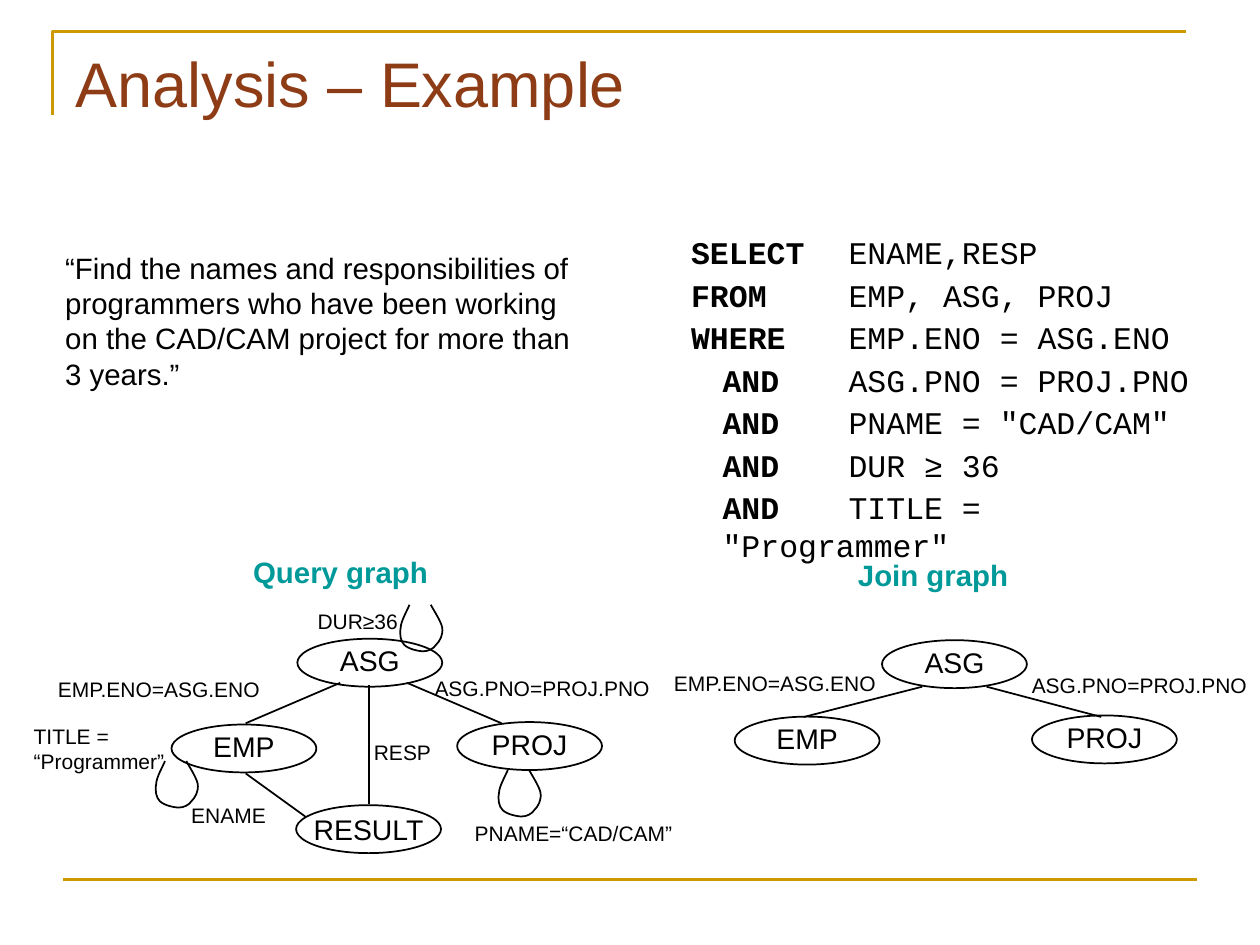
from lxml.etree import SubElement
from pptx import Presentation
from pptx.dml.color import RGBColor
from pptx.enum.shapes import MSO_CONNECTOR, MSO_SHAPE
from pptx.enum.text import MSO_ANCHOR, MSO_AUTO_SIZE, PP_ALIGN
from pptx.oxml.ns import qn
from pptx.util import Pt

HEX = {"ink": "000000", "paper": "FFFFFF", "gold": "CC9900",
       "title": "8D3C15", "teal": "009999"}
COLOR = {name: RGBColor.from_string(code) for name, code in HEX.items()}

TITLE = "Analysis – Example"
QUOTE = ("“Find the names and responsibilities of programmers who have been "
         "working on the CAD/CAM project for more than 3 years.”")
QUERY = [
    ("SELECT", "\tENAME,RESP"),
    ("FROM", "\tEMP, ASG, PROJ"),
    ("WHERE", "\tEMP.ENO = ASG.ENO"),
    ("\tAND \t", "ASG.PNO = PROJ.PNO"),
    ("\tAND\t", "PNAME = \"CAD/CAM\""),
    ("\tAND\t", "DUR ≥ 36"),
    ("\tAND", "\tTITLE = \"Programmer\""),
]
# text, left, top, width
HEADS = [("Query graph", 139.7, 317.5, 111), ("Join graph", 485.3, 319.5, 96.5)]
LABELS = [
    ("DUR≥36", 174.4, 344.2, 60.5),
    ("PNAME=“CAD/CAM”", 264.2, 465.2, 128),
    ("ENAME", 102.2, 455, 57.6),
    ("EMP.ENO=ASG.ENO", 26, 383, 132.5),
    ("ASG.PNO=PROJ.PNO", 241.2, 382.3, 138.2),
    ("TITLE =\n“Programmer”", 12.2, 409.7, 89.3),
    ("RESP", 206.6, 419, 47.5),
    ("ASG.PNO=PROJ.PNO", 582.5, 380.9, 138.2),
    ("EMP.ENO=ASG.ENO", 378, 379.6, 132.5),
]
# text, left, top
NODES = [
    ("RESULT", 169.2, 460.1),
    ("ASG", 169.9, 365), ("PROJ", 261.2, 412.6), ("EMP", 98, 414),
    ("EMP", 419.8, 409.5), ("PROJ", 589.7, 408.8), ("ASG", 504, 365.8),
]
NODE_W, NODE_H = 82.8, 27.4
EDGES = [
    (140.4, 442, 176.4, 468), (232.6, 390.2, 286.6, 413.3),
    (211, 391.7, 211, 459.4), (194.4, 390.2, 140.4, 413.3),
    (527, 392.4, 459.4, 409.7), (563.8, 392.4, 629.3, 409.7),
]
LOOPS = [(290.2, 440), (94.3, 434.9), (234, 345.6)]
# Bezier curves of one loop, measured from its first end
LOOP = [
    ((-0.7, 2.2), (-5, 9.4), (-5, 13)),
    ((-5.8, 17.3), (-5, 20.9), (-2.9, 23)),
    ((-0.7, 25.2), (5, 26.6), (7.9, 26.6)),
    ((10.8, 26.6), (13.7, 25.2), (15.1, 23)),
    ((17.3, 20.9), (19.4, 17.3), (18.7, 13)),
    ((18, 9.4), (13.7, 2.9), (12.2, 0)),
]


def apply(obj, values):
    for key, value in values.items():
        setattr(obj, key, value)


def place(shape, left, top, width, height):
    apply(shape, {"left": Pt(left), "top": Pt(top),
                  "width": Pt(width), "height": Pt(height)})


def style(run, size, color="ink", bold=False, face="Arial"):
    apply(run.font, {"size": Pt(size), "bold": bold, "name": face})
    run.font.color.rgb = COLOR[color]


def frame(shape, inset=(7.2, 3.6), wrap=False, anchor=MSO_ANCHOR.TOP):
    side, edge = map(Pt, inset)
    text = shape.text_frame
    apply(text, {"margin_left": side, "margin_right": side,
                 "margin_top": edge, "margin_bottom": edge,
                 "word_wrap": wrap, "auto_size": MSO_AUTO_SIZE.NONE,
                 "vertical_anchor": anchor})
    return text


def write(text, words, size, color="ink", bold=False,
          align=PP_ALIGN.LEFT, space=None):
    text.text = words
    for para in text.paragraphs:
        apply(para, {"alignment": align, "line_spacing": space})
        for run in para.runs:
            style(run, size, color, bold)


def stroke(shape, color="ink", width=1):
    shape.line.color.rgb = COLOR[color]
    shape.line.width = Pt(width)


def link(shapes, ends, color="ink", width=1):
    line = shapes.add_connector(MSO_CONNECTOR.STRAIGHT, *map(Pt, ends))
    stroke(line, color, width)
    SubElement(line._element.spPr, qn("a:effectLst"))


def trace(shapes, points, color="ink", width=1):
    """Draw an open, unfilled outline through the points."""
    spots = [(Pt(x), Pt(y)) for x, y in points]
    pen = shapes.build_freeform(*spots[0])
    pen.add_line_segments(spots[1:], close=False)
    shape = pen.convert_to_shape()
    shape.fill.background()
    shape.shadow.inherit = False
    stroke(shape, color, width)
    return shape


def loop(shapes, left, top):
    """Trace the ends of the curves, then bend each segment."""
    ends = [(0, 0)] + [curve[-1] for curve in LOOP]
    shape = trace(shapes, [(left + x, top + y) for x, y in ends])
    edge = min(x for x, y in ends)
    for part, curve in zip(list(shape._element.iter(qn("a:lnTo"))), LOOP):
        part.clear()
        part.tag = qn("a:cubicBezTo")
        for x, y in curve:
            SubElement(part, qn("a:pt"), x=str(Pt(x - edge)), y=str(Pt(y)))


def label(shapes, words, box, size, inset=(7.2, 3.6), wrap=False, **look):
    shape = shapes.add_textbox(*map(Pt, box))
    write(frame(shape, inset, wrap), words, size, **look)


def node(shapes, words, left, top):
    shape = shapes.add_shape(MSO_SHAPE.OVAL, *map(Pt, (left, top, NODE_W, NODE_H)))
    shape.shadow.inherit = False
    stroke(shape)
    text = frame(shape, (0, 0), anchor=MSO_ANCHOR.MIDDLE)
    if words == "RESULT":
        shape.fill.solid()
        shape.fill.fore_color.rgb = COLOR["paper"]
    else:
        shape.fill.background()
        text.margin_bottom = Pt(2.4)
    write(text, words, 16.2, align=PP_ALIGN.CENTER)


def code(body):
    text = frame(body, wrap=True)
    for row, parts in enumerate(QUERY):
        para = text.add_paragraph() if row else text.paragraphs[0]
        para.level = 2
        props = para._p.get_or_add_pPr()
        for key, size in {"marL": 85.3, "indent": -18, "defTabSz": 72}.items():
            props.set(key, str(Pt(size)))
        SubElement(props, qn("a:buNone"))
        tabs = SubElement(props, qn("a:tabLst"))
        SubElement(tabs, qn("a:tab"), pos=str(Pt(149)), algn="l")
        apply(para, {"space_before": Pt(2.7), "alignment": PP_ALIGN.LEFT})
        for part, bold in zip(parts, (True, False)):
            run = para.add_run()
            run.text = part
            style(run, 18, bold=bold, face="Courier New")


def main():
    deck = Presentation()
    apply(deck, {"slide_width": Pt(720), "slide_height": Pt(540)})
    slide = deck.slides.add_slide(deck.slide_layouts[1])
    shapes = slide.shapes
    title, body = slide.placeholders
    place(title, 36, 21.6, 648, 90)
    write(frame(title, wrap=True), TITLE, 36, "title")
    place(body, 320.4, 129.6, 380.2, 184.3)
    code(body)

    trace(shapes, [(30, 66), (30, 18), (678, 18)], "gold", 1.5)
    link(shapes, (36, 502.6, 684, 502.6), "gold", 1.5)
    label(shapes, QUOTE, (30.2, 139.2, 314, 89.3), 16.8, wrap=True)
    for words, left, top, width in HEADS:
        label(shapes, words, (left, top, width, 21.6), 16.8, (5, 2.2),
              color="teal", bold=True, space=0.85)
    for ends in EDGES:
        link(shapes, ends)
    for item in NODES:
        node(shapes, *item)
    for spot in LOOPS:
        loop(shapes, *spot)
    for words, left, top, width in LABELS:
        height = 21.6 + 14.4 * words.count("\n")
        label(shapes, words, (left, top, width, height), 12)
    deck.save("out.pptx")


if __name__ == "__main__":
    main()
